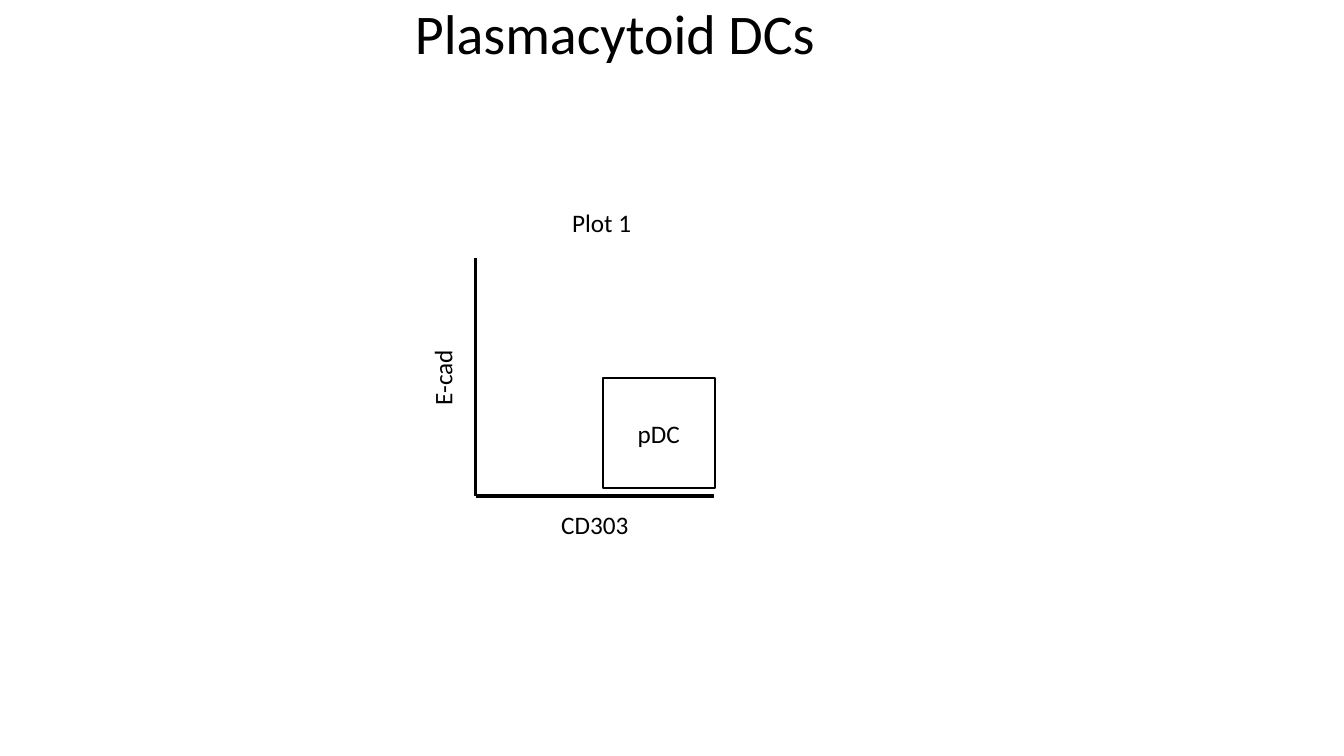
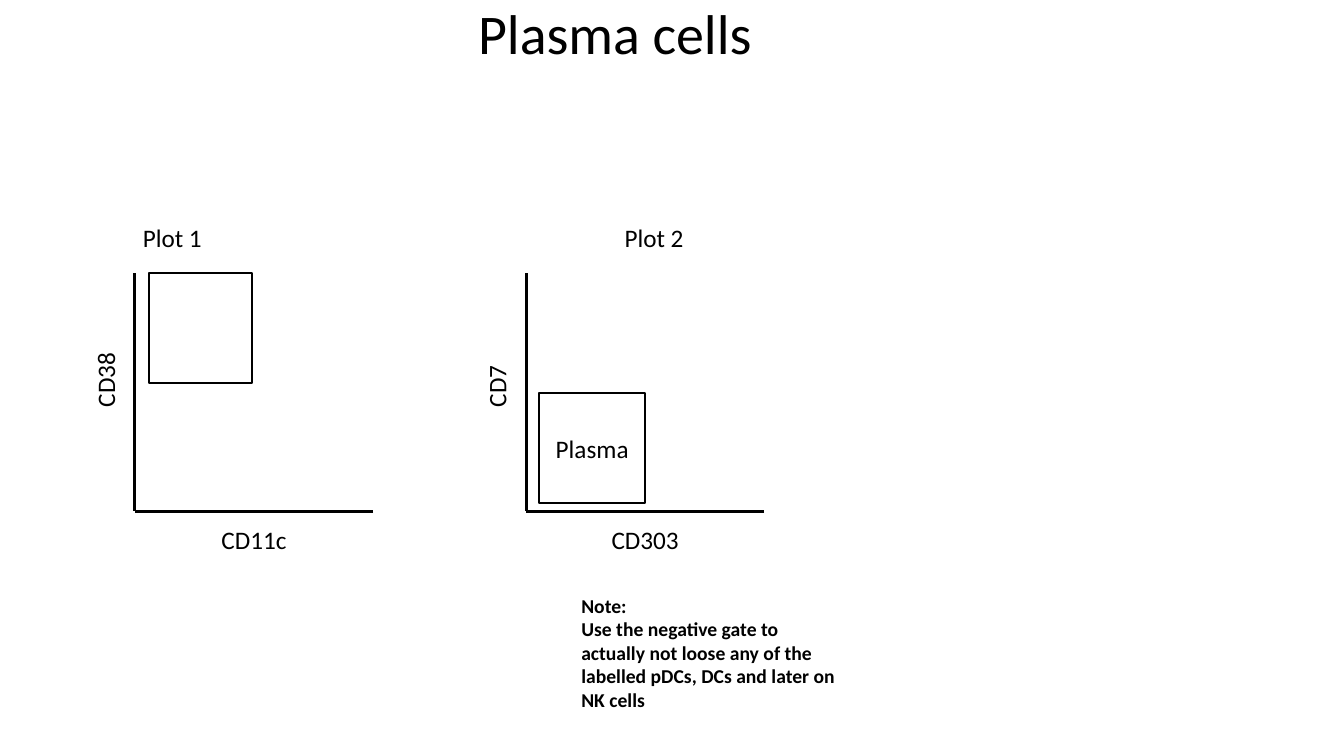
"""Build two slides of gating plots for plasmacytoid DCs and plasma cells."""
from lxml import etree
from pptx import Presentation
from pptx.dml.color import RGBColor
from pptx.enum.shapes import MSO_CONNECTOR, MSO_SHAPE
from pptx.enum.text import MSO_ANCHOR, PP_ALIGN
from pptx.oxml.ns import qn
from pptx.util import Cm, Pt

STRAIGHT = MSO_CONNECTOR.STRAIGHT
RECT = MSO_SHAPE.RECTANGLE
MIDDLE = MSO_ANCHOR.MIDDLE
LEFT, CENTER = PP_ALIGN.LEFT, PP_ALIGN.CENTER
FONT = "Calibri"
INK = "000000"
AXIS = 6
GATE_H = 2.77
LABEL_W, LABEL_H = 2.31, 1.02


def rgb(value):
    """Turn a hex string into a colour."""
    return RGBColor.from_string(value)


def write(sp, lines, size=18, align=CENTER, bold=False):
    """Put lines of text into a shape, one paragraph each."""
    tf = sp.text_frame
    tf.word_wrap = True
    tf.text = "\n".join(lines)
    for p in tf.paragraphs:
        p.alignment = align
        p.font.name = FONT
        p.font.size = Pt(size)
        p.font.bold = bold
        p.font.color.rgb = rgb(INK)
    return tf


SLIDES = [
    ("Plasmacytoid DCs", 6.5, [
        dict(name="Plot 1", x=11.99, name_dx=2.18, x_label="CD303", y_label="E-cad",
             y_label_dx=0.84, y_label_dy=2.81, gate="pDC", gate_dx=3.2, gate_dy=3.03, gate_w=2.82),
    ]),
    ("Plasma cells", 6.88, [
        dict(name="Plot 1", x=3.4, name_dx=-0.05, x_label="CD11c", y_label="CD38",
             y_label_dx=0.75, y_label_dy=2.47, gate="", gate_dx=0.36, gate_dy=0, gate_w=2.59),
        dict(name="Plot 2", x=13.26, name_dx=2.23, x_label="CD303", y_label="CD7",
             y_label_dx=0.75, y_label_dy=2.47, gate="Plasma", gate_dx=0.33, gate_dy=3.03, gate_w=2.67),
    ]),
]
NOTE = ["Note:", "Use the negative gate to actually not loose any of the labelled pDCs, DCs and later on NK cells"]

prs = Presentation()
prs.slide_width, prs.slide_height = Cm(33.87), Cm(19.05)

for title, top, plots in SLIDES:
    s = prs.slides.add_slide(prs.slide_layouts[5])
    sp = s.shapes.title
    sp.left, sp.top, sp.width, sp.height = Cm(8.84), Cm(0.15), Cm(13.31), Cm(1.52)
    tf = write(sp, [title], 40)
    tf.vertical_anchor = MIDDLE
    tf.paragraphs[0].line_spacing = 0.9

    bottom = top + AXIS
    for plot in plots:
        x = plot["x"]
        for x1, y1 in ((x, top), (x + AXIS, bottom)):
            line = s.shapes.add_connector(STRAIGHT, Cm(x1), Cm(y1), Cm(x), Cm(bottom))
            line.line.color.rgb = rgb(INK)
            line.line.width = Pt(2.25)
            etree.SubElement(line._element.spPr, qn("a:effectLst"))

        gate = s.shapes.add_shape(RECT, Cm(x + plot["gate_dx"]), Cm(top + plot["gate_dy"]),
                                  Cm(plot["gate_w"]), Cm(GATE_H))
        gate.shadow.inherit = False
        gate.fill.background()
        gate.line.color.rgb = rgb(INK)
        gate.line.width = Pt(1.5)
        if plot["gate"]:
            tf = write(gate, [plot["gate"]])
            tf.margin_left = tf.margin_right = 0
            tf.vertical_anchor = MIDDLE

        labels = [
            (plot["name"], x + plot["name_dx"], top - 1.41, LEFT, 0),
            (plot["x_label"], x + (AXIS - LABEL_W) / 2, bottom + 0.2, CENTER, 0),
            (plot["y_label"], x - plot["y_label_dx"] - LABEL_W / 2,
             top + plot["y_label_dy"] - LABEL_H / 2, LEFT, 270),
        ]
        for text, left, label_top, align, rotation in labels:
            sp = s.shapes.add_textbox(Cm(left), Cm(label_top), Cm(LABEL_W), Cm(LABEL_H))
            sp.rotation = rotation
            write(sp, [text], align=align)

note = s.shapes.add_textbox(Cm(14.4), Cm(14.83), Cm(6.96), Cm(3.25))
write(note, NOTE, 14, LEFT, True)

prs.save("out.pptx")
